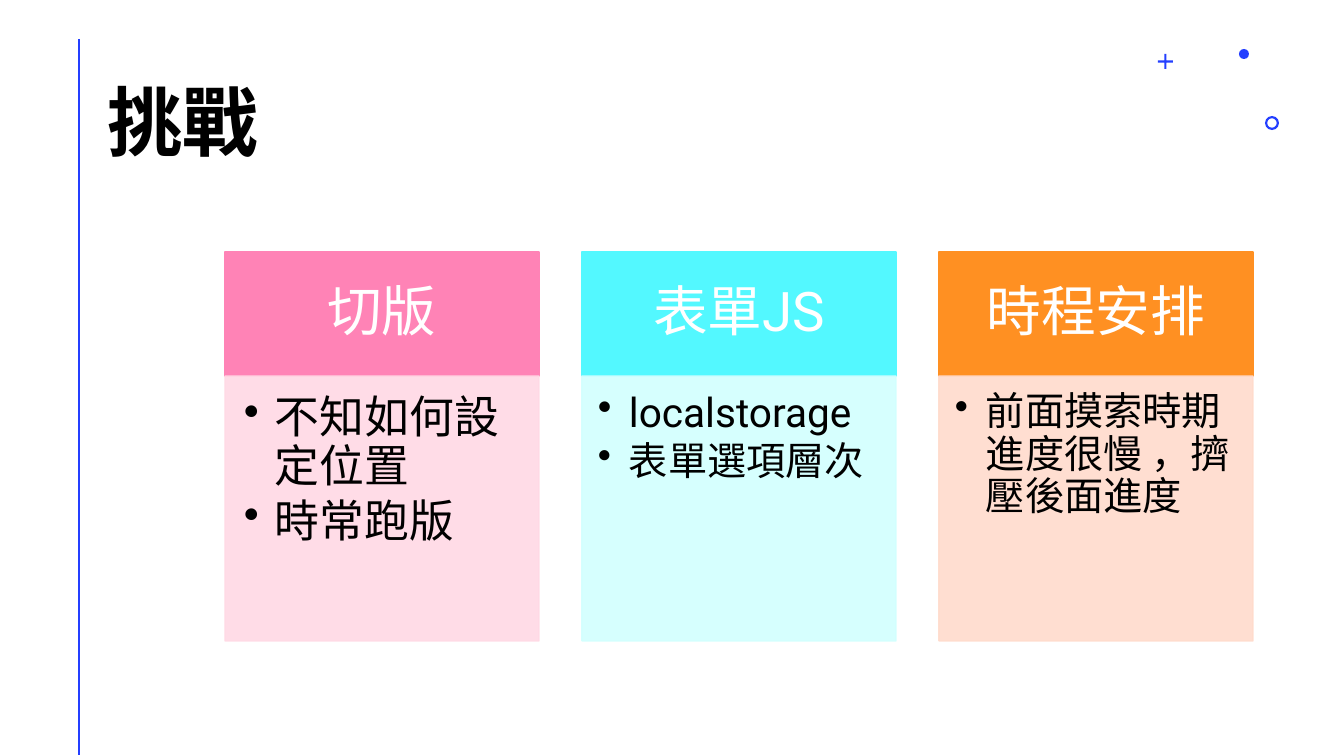
from lxml import etree
from pptx import Presentation
from pptx.dml.color import RGBColor
from pptx.enum.shapes import MSO_CONNECTOR, MSO_SHAPE as Preset
from pptx.enum.text import MSO_ANCHOR as Anchor, MSO_AUTO_SIZE, PP_ALIGN as Align
from pptx.oxml.ns import qn
from pptx.util import Pt

COLORS = {
    "ink": "000000", "white": "FFFFFF", "blue": "243FFF",
    "pink": "FF83B6", "pale pink": "FFD9E5",
    "cyan": "53F8FF", "pale cyan": "D2FFFE",
    "orange": "FF9022", "pale orange": "FFDBCC",
}
CJK, LATIN = "Noto Sans CJK TC", "Roboto"

# Heading, colour, insets (left, top, right, bottom), bullets with point sizes
CHALLENGES = [
    ("切版", "pink", (19, 19, 25, 28), [("不知如何設定位置", 32), ("時常跑版", 32)]),
    ("表單JS", "cyan", (16, 16, 22, 24), [("localstorage", 29), ("表單選項層次", 28)]),
    ("時程安排", "orange", (16, 16, 22, 24), [("前面摸索時期進度很慢 ，擠壓後面進度", 28)]),
]


def px(length):
    return round(length * 12192000 / 1344)


def rgb(color):
    return RGBColor.from_string(COLORS[color])


class Deck:
    def __init__(self):
        self.prs = Presentation()
        self.prs.slide_width, self.prs.slide_height = px(1344), px(756)
        self.slide = self.prs.slides.add_slide(self.prs.slide_layouts[5])

    def style(self, paragraph, size, color, align=Align.LEFT, bold=False, latin=LATIN):
        paragraph.alignment = align
        paragraph.line_spacing = 0.9
        for run in paragraph.runs:
            font = run.font
            font.size, font.bold, font.name = Pt(size), bold, latin
            font.color.rgb = rgb(color)
            etree.SubElement(run._r.get_or_add_rPr(), qn("a:ea"), typeface=CJK)

    def title(self, text, left, top, width, height):
        heading = self.slide.shapes.title
        heading.left, heading.top = px(left), px(top)
        heading.width, heading.height = px(width), px(height)
        frame = heading.text_frame
        frame.text = text
        frame.auto_size = MSO_AUTO_SIZE.NONE
        frame.vertical_anchor = Anchor.MIDDLE
        self.style(frame.paragraphs[0], 54, "ink", bold=True, latin=CJK)

    def rule(self, x, top, bottom, color):
        line = self.slide.shapes.add_connector(
            MSO_CONNECTOR.STRAIGHT, px(x), px(top), px(x), px(bottom))
        line.line.color.rgb, line.line.width = rgb(color), Pt(2)
        etree.SubElement(line._element.spPr, qn("a:effectLst"))

    def shape(self, preset, left, top, width, height, color, outlined=False):
        item = self.slide.shapes.add_shape(preset, px(left), px(top), px(width), px(height))
        item.shadow.inherit = False
        item.fill.solid()
        item.fill.fore_color.rgb = rgb(color)
        if outlined:
            item.line.color.rgb, item.line.width = rgb(color), Pt(1)
        else:
            item.line.fill.background()
        return item

    def ornament(self, preset, left, top, size, adjustment=None):
        mark = self.shape(preset, left, top, size, size, "blue")
        if adjustment is not None:
            mark.adjustments[0] = adjustment

    def panel(self, left, top, width, height, color, insets, anchor):
        box = self.shape(Preset.RECTANGLE, left, top, width, height, color, outlined=True)
        frame = box.text_frame
        frame.word_wrap = True
        frame.vertical_anchor = anchor
        (frame.margin_left, frame.margin_top,
         frame.margin_right, frame.margin_bottom) = map(px, insets)
        return box

    def header(self, text, *place, color):
        box = self.panel(*place, color, (30, 17, 30, 17), Anchor.MIDDLE)
        box.text_frame.text = text
        self.style(box.text_frame.paragraphs[0], 39, "white", Align.CENTER)

    def bullet_list(self, bullets, *place, color, insets):
        box = self.panel(*place, color, insets, Anchor.TOP)
        for tint in box._element.spPr.iter(qn("a:srgbClr")):
            etree.SubElement(tint, qn("a:alpha"), val="90000")
        frame = box.text_frame
        frame.text = "\n".join(text for text, _ in bullets)
        for paragraph, (_, size) in zip(frame.paragraphs, bullets):
            self.style(paragraph, size, "ink")
            paragraph.space_after = Pt(round(size * 0.15, 1))
            props = paragraph._p.get_or_add_pPr()
            props.set("marL", str(px(31)))
            props.set("indent", str(-px(31)))
            etree.SubElement(props, qn("a:buChar"), char="•")


def main():
    deck = Deck()

    # Frame and ornaments
    deck.rule(79, 39, 755, "blue")
    deck.ornament(Preset.CROSS, 1158, 54, 15, 0.43)
    deck.ornament(Preset.DONUT, 1265, 116, 14, 0.16)
    deck.ornament(Preset.OVAL, 1239, 49, 10)
    deck.title("挑戰", 97, 53, 1159, 146)

    # One column per challenge
    left, pitch, width, top, header_height, list_height = 225, 357, 314, 252, 124, 265
    for column, (heading, color, insets, bullets) in enumerate(CHALLENGES):
        x = left + column * pitch
        deck.header(heading, x, top, width, header_height, color=color)
        deck.bullet_list(bullets, x, top + header_height, width, list_height,
                         color="pale " + color, insets=insets)

    deck.prs.save("out.pptx")


if __name__ == "__main__":
    main()
